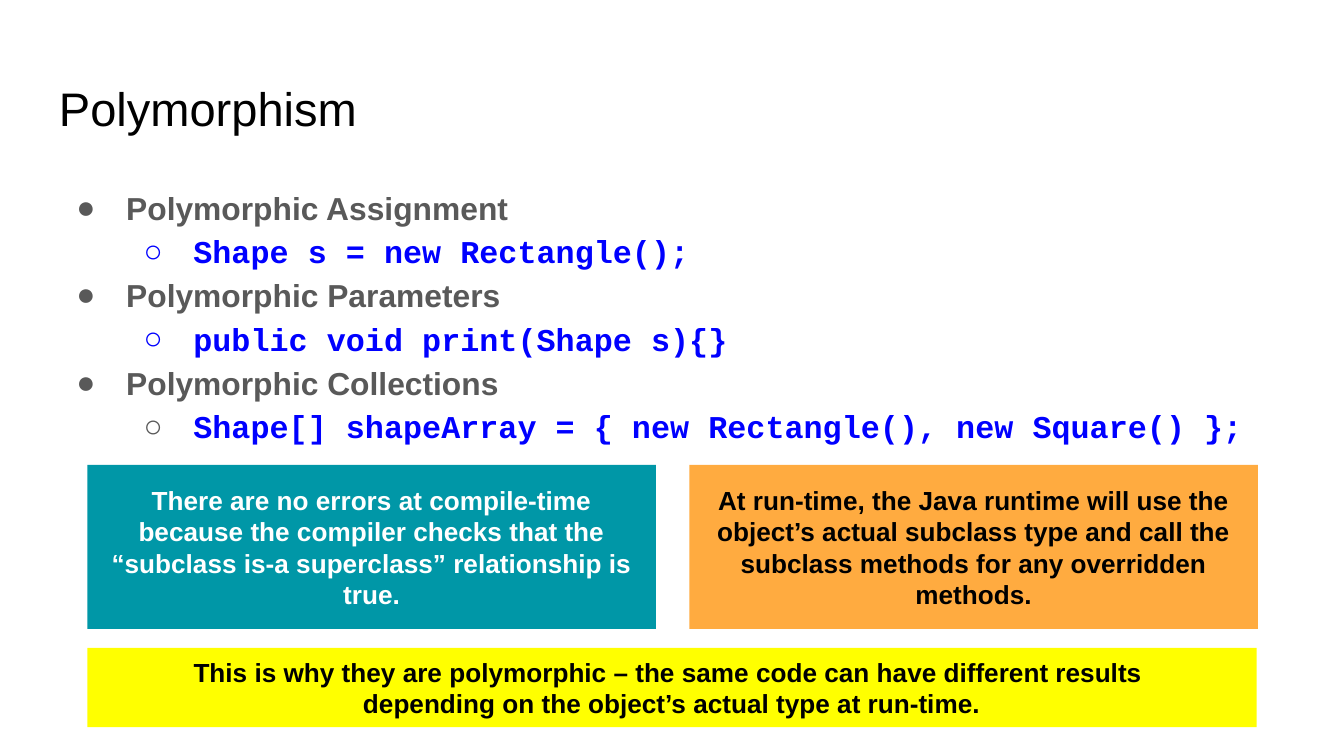
"""Build a slide on the three forms of polymorphism in Java."""
from lxml.etree import SubElement
from pptx import Presentation
from pptx.dml.color import RGBColor
from pptx.enum.shapes import MSO_SHAPE
from pptx.enum.text import MSO_ANCHOR, PP_ALIGN
from pptx.oxml.ns import qn
from pptx.util import Inches, Pt

BLACK = RGBColor(0x00, 0x00, 0x00)
WHITE = RGBColor(0xFF, 0xFF, 0xFF)
GRAY = RGBColor(0x59, 0x59, 0x59)
BLUE = RGBColor(0x00, 0x00, 0xFF)
TEAL = RGBColor(0x00, 0x97, 0xA7)
ORANGE = RGBColor(0xFF, 0xAB, 0x40)
YELLOW = RGBColor(0xFF, 0xFF, 0x00)

EXAMPLES = [
    ("Polymorphic Assignment", "Shape s = new Rectangle();", BLUE),
    ("Polymorphic Parameters", "public void print(Shape s){}", BLUE),
    ("Polymorphic Collections",
     "Shape[] shapeArray = { new Rectangle(), new Square() };", GRAY),
]


class SlideBuilder:
    """Hold the text style and the current slide."""

    text_font = "Arial"
    code_font = "Courier New"
    inset = Inches(0.1)

    def __init__(self, slide):
        self.slide = slide

    def prepare_frame(self, shape, anchor):
        frame = shape.text_frame
        frame.word_wrap = True
        frame.vertical_anchor = anchor
        frame.margin_left = frame.margin_right = self.inset
        frame.margin_top = frame.margin_bottom = self.inset
        return frame

    def set_font(self, paragraph, name, size, color, bold):
        font = paragraph.font
        font.name = name
        font.size = Pt(size)
        font.color.rgb = color
        font.bold = bold

    def add_text_frame(self, left, top, width, height):
        box = self.slide.shapes.add_textbox(
            Inches(left), Inches(top), Inches(width), Inches(height))
        return self.prepare_frame(box, MSO_ANCHOR.TOP)

    def add_title(self, text, left, top, width, height):
        paragraph = self.add_text_frame(left, top, width, height).paragraphs[0]
        paragraph.text = text
        self.set_font(paragraph, self.text_font, 25.2, BLACK, False)

    def add_bullet(self, paragraph, level, symbol, color):
        paragraph.level = level
        paragraph.line_spacing = 1.15
        properties = paragraph._p.get_or_add_pPr()
        properties.set("marL", str(Inches(0.5 * (level + 1))))
        properties.set("indent", str(Inches(-0.37)))
        bullet_color = SubElement(properties, qn("a:buClr"))
        SubElement(bullet_color, qn("a:srgbClr"), val=str(color))
        SubElement(properties, qn("a:buFont"), typeface=self.text_font)
        SubElement(properties, qn("a:buChar"), char=symbol)

    def add_examples(self, examples, left, top, width, height):
        frame = self.add_text_frame(left, top, width, height)
        paragraph = frame.paragraphs[0]
        for index, (heading, code, code_bullet) in enumerate(examples):
            if index:
                paragraph = frame.add_paragraph()
            paragraph.text = heading
            self.add_bullet(paragraph, 0, "●", GRAY)
            self.set_font(paragraph, self.text_font, 17, GRAY, True)
            paragraph = frame.add_paragraph()
            paragraph.text = code
            self.add_bullet(paragraph, 1, "○", code_bullet)
            self.set_font(paragraph, self.code_font, 17, BLUE, True)

    def add_callout(self, text, left, top, width, height, fill, color=BLACK):
        shape = self.slide.shapes.add_shape(
            MSO_SHAPE.RECTANGLE,
            Inches(left), Inches(top), Inches(width), Inches(height))
        shape.shadow.inherit = False
        shape.fill.solid()
        shape.fill.fore_color.rgb = fill
        shape.line.fill.background()
        paragraph = self.prepare_frame(shape, MSO_ANCHOR.MIDDLE).paragraphs[0]
        paragraph.text = text
        paragraph.alignment = PP_ALIGN.CENTER
        self.set_font(paragraph, self.text_font, 14, color, True)


def main():
    presentation = Presentation()
    presentation.slide_width = Inches(10)
    presentation.slide_height = Inches(10 * 9 / 16)
    slide = presentation.slides.add_slide(presentation.slide_layouts[6])
    builder = SlideBuilder(slide)

    builder.add_examples(EXAMPLES, 0.34, 1.26, 9.32, 3.74)
    builder.add_title("Polymorphism", 0.34, 0.49, 9.32, 0.63)
    builder.add_callout(
        "There are no errors at compile-time because the compiler checks that "
        "the “subclass is-a superclass” relationship is true.",
        0.65, 3.46, 4.23, 1.22, TEAL, WHITE)
    builder.add_callout(
        "At run-time, the Java runtime will use the object’s actual subclass "
        "type and call the subclass methods for any overridden methods.",
        5.13, 3.46, 4.23, 1.22, ORANGE)
    builder.add_callout(
        "This is why they are polymorphic – the same code can have different "
        "results \vdepending on the object’s actual type at run-time.",
        0.65, 4.82, 8.7, 0.59, YELLOW)

    presentation.save("out.pptx")


if __name__ == "__main__":
    main()
